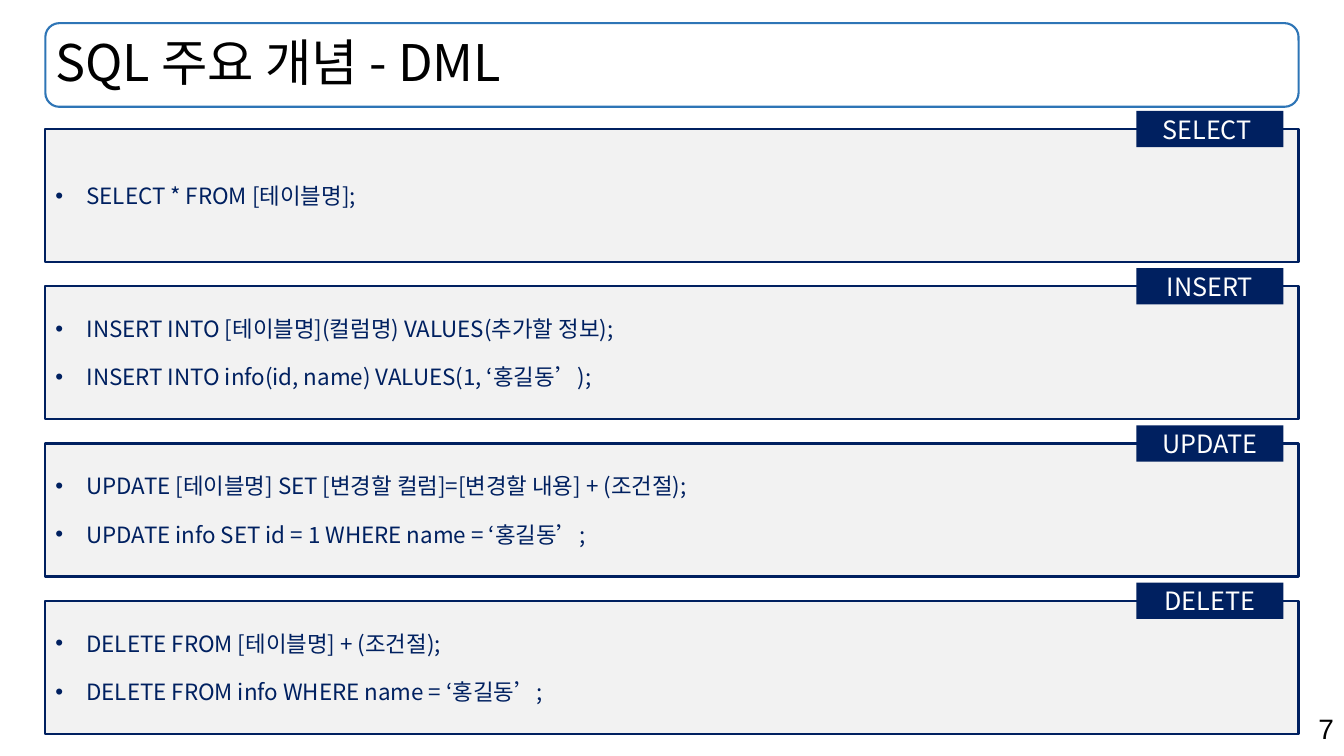
from lxml import etree
from pptx import Presentation
from pptx.dml.color import RGBColor
from pptx.enum.shapes import MSO_SHAPE
from pptx.enum.text import MSO_ANCHOR, PP_ALIGN
from pptx.oxml.ns import qn
from pptx.util import Pt

RECTANGLE = MSO_SHAPE.RECTANGLE
ROUNDED = MSO_SHAPE.ROUNDED_RECTANGLE
MIDDLE = MSO_ANCHOR.MIDDLE
LEFT, CENTER, RIGHT = PP_ALIGN.LEFT, PP_ALIGN.CENTER, PP_ALIGN.RIGHT

EMU_PER_PX = 9144  # 100 px to the inch
KOREAN_FONT = "Noto Sans CJK KR"
COLORS = {
    "navy": "002060",
    "blue": "2E75B6",
    "panel": "F2F2F2",
    "white": "FFFFFF",
    "black": "000000",
}

TITLE_BOX = (45, 23, 1243, 83)
PAGE_NUMBER_BOX = (943, 701, 390, 44)
FIRST_PANEL_BOX = (45, 128, 1243, 132)
PANEL_PITCH = 156
TAB_WIDTH, TAB_HEIGHT, TAB_RIGHT_GAP = 146, 36, 15
BULLET_INDENT = 31
STATEMENT_GAP = 15.4

STATEMENTS = {
    "SELECT ": ["SELECT * FROM [테이블명];"],
    "INSERT": [
        "INSERT INTO [테이블명](컬럼명) VALUES(추가할 정보);",
        "INSERT INTO info(id, name) VALUES(1, ‘홍길동’);",
    ],
    "UPDATE": [
        "UPDATE [테이블명] SET [변경할 컬럼]=[변경할 내용] + (조건절);",
        "UPDATE info SET id = 1 WHERE name = ‘홍길동’;",
    ],
    "DELETE": [
        "DELETE FROM [테이블명] + (조건절);",
        "DELETE FROM info WHERE name = ‘홍길동’;",
    ],
}


def px(length):
    return round(length * EMU_PER_PX)


def rgb(name):
    return RGBColor.from_string(COLORS[name])


def add_box(shapes, preset, box, fill=None, line=None):
    shape = shapes.add_shape(preset, *map(px, box))
    shape.shadow.inherit = False
    if fill:
        shape.fill.solid()
        shape.fill.fore_color.rgb = rgb(fill)
    else:
        shape.fill.background()
    if line:
        shape.line.color.rgb = rgb(line)
        shape.line.width = Pt(1.5)
    else:
        shape.line.fill.background()
    return shape


def write_paragraph(paragraph, text, size, color, align=LEFT, font=KOREAN_FONT):
    """Fill one paragraph, using the font for Latin and Korean letters alike."""
    run = paragraph.add_run()
    run.text = text
    paragraph.alignment = align
    paragraph.font.size = Pt(size)
    paragraph.font.name = font
    paragraph.font.color.rgb = rgb(color)
    east_asian = etree.SubElement(run._r.get_or_add_rPr(), qn("a:ea"))
    east_asian.set("typeface", font)


def add_bullet(paragraph):
    properties = paragraph._p.get_or_add_pPr()
    properties.set("marL", str(px(BULLET_INDENT)))
    properties.set("indent", str(-px(BULLET_INDENT)))
    etree.SubElement(properties, qn("a:buFont")).set("typeface", "Arial")
    etree.SubElement(properties, qn("a:buChar")).set("char", "•")


def add_title(slide, box, text):
    add_box(slide.shapes, ROUNDED, box, line="blue")
    frame = slide.shapes.add_textbox(*map(px, box)).text_frame
    frame.word_wrap = True
    frame.vertical_anchor = MIDDLE
    write_paragraph(frame.paragraphs[0], text, 36, "black")
    frame.paragraphs[0].line_spacing = 0.9


def add_page_number(slide, box, number):
    frame = slide.shapes.add_textbox(*map(px, box)).text_frame
    frame.word_wrap = True
    write_paragraph(frame.paragraphs[0], number, 20, "black", RIGHT, "Arial")


def add_statement_panel(slide, box, command, statements):
    """Draw a panel of bulleted statements with its command tab on the top edge."""
    left, top, width, _ = box
    group = slide.shapes.add_group_shape()
    panel = add_box(group.shapes, RECTANGLE, box, "panel", "navy")
    frame = panel.text_frame
    frame.vertical_anchor = MIDDLE
    for index, statement in enumerate(statements):
        paragraph = frame.add_paragraph() if index else frame.paragraphs[0]
        if index:
            paragraph.space_before = Pt(STATEMENT_GAP)
        add_bullet(paragraph)
        write_paragraph(paragraph, statement, 16, "navy")

    tab_left = left + width - TAB_RIGHT_GAP - TAB_WIDTH
    tab_box = (tab_left, top - TAB_HEIGHT // 2, TAB_WIDTH, TAB_HEIGHT)
    tab = add_box(group.shapes, RECTANGLE, tab_box, "navy")
    tab.text_frame.vertical_anchor = MIDDLE
    write_paragraph(tab.text_frame.paragraphs[0], command, 18, "white", CENTER)


def main():
    presentation = Presentation()
    presentation.slide_width = px(1333)
    presentation.slide_height = px(750)
    slide = presentation.slides.add_slide(presentation.slide_layouts[6])

    add_page_number(slide, PAGE_NUMBER_BOX, "7")
    add_title(slide, TITLE_BOX, "SQL 주요 개념 - DML")
    left, top, width, height = FIRST_PANEL_BOX
    for index, (command, statements) in enumerate(STATEMENTS.items()):
        panel_box = (left, top + index * PANEL_PITCH, width, height)
        add_statement_panel(slide, panel_box, command, statements)

    presentation.save("out.pptx")


if __name__ == "__main__":
    main()
